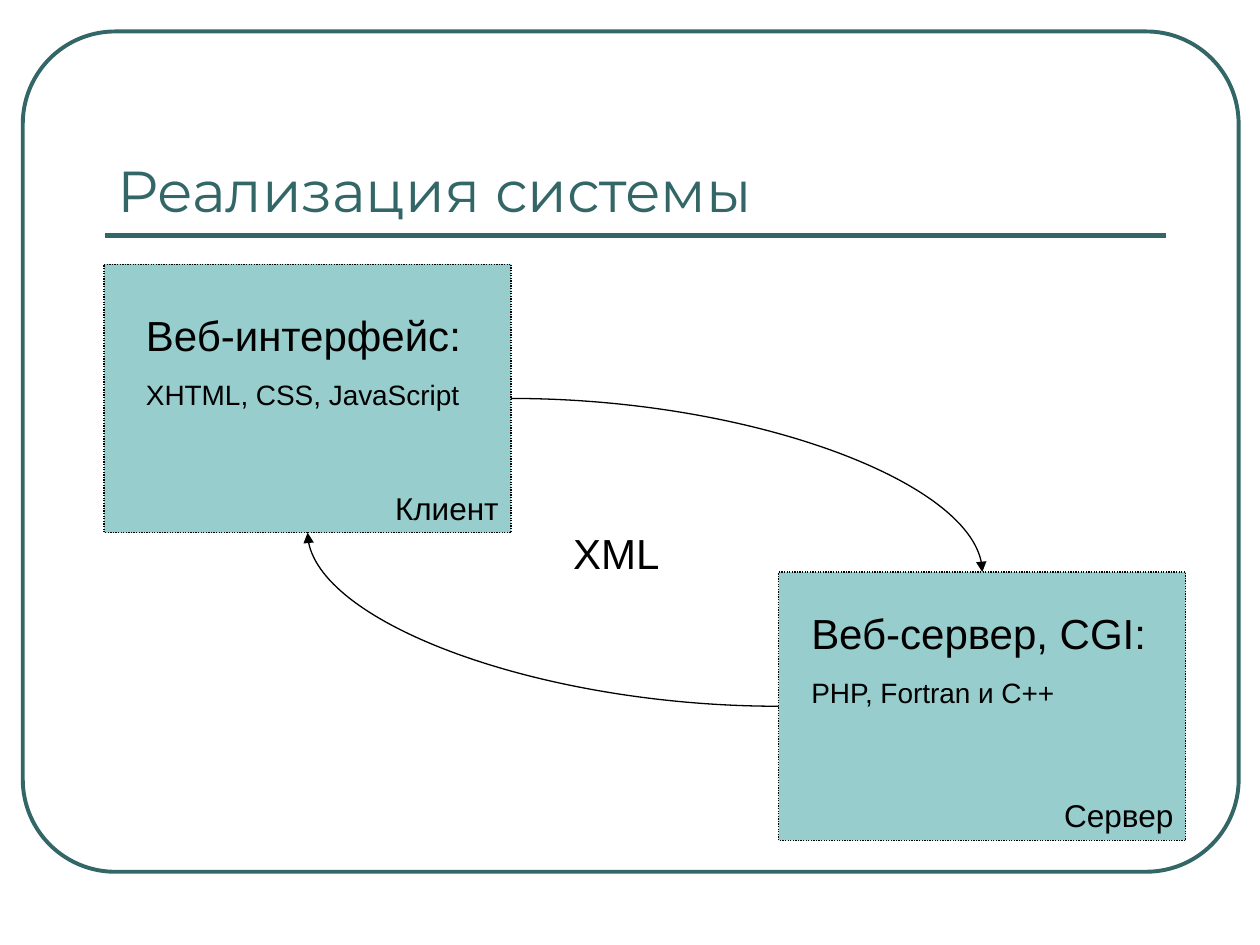
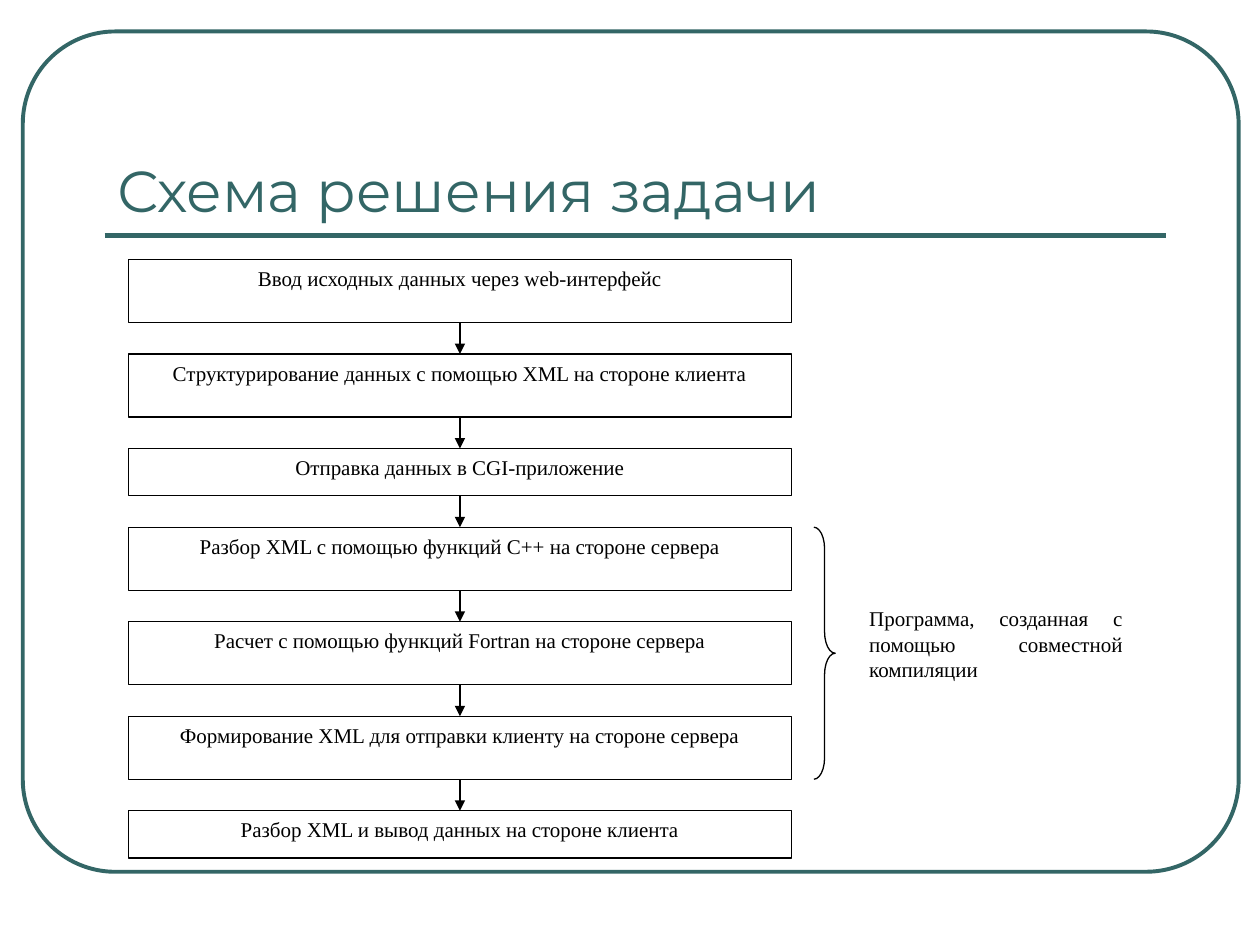
"""Build two slides on a client-server system: its architecture and its processing steps."""
import dataclasses
import itertools

import pptx
import pptx.dml.color
import pptx.enum.dml
import pptx.enum.shapes
import pptx.enum.text
import pptx.oxml
import pptx.oxml.ns
import pptx.util

Pt = pptx.util.Pt
SHAPE = pptx.enum.shapes.MSO_SHAPE
CONNECTOR = pptx.enum.shapes.MSO_CONNECTOR
ALIGN = pptx.enum.text.PP_ALIGN
ANCHOR = pptx.enum.text.MSO_ANCHOR
DOTTED = pptx.enum.dml.MSO_LINE.ROUND_DOT
TOP, LEFT, BOTTOM, RIGHT = range(4)


@dataclasses.dataclass(frozen=True)
class Theme:
    """Colours, fonts and sizes shared by the slides."""
    accent: str = "336666"
    node: str = "97CDCC"
    paper: str = "FFFFFF"
    ink: str = "000000"
    thin: float = 0.75
    frame: float = 2.25
    rule: float = 3
    title: tuple = ("Montserrat", 33)
    heading: tuple = ("Arial", 24)
    role: tuple = ("Arial", 18)
    detail: tuple = ("Arial", 16)
    step: tuple = ("Times New Roman", 12)


THEME = Theme()


def rgb(value):
    """Return a colour object for a hex value."""
    return pptx.dml.color.RGBColor.from_string(value)


def apply(target, formats):
    """Set each attribute of the target from a dict."""
    for name, value in formats.items():
        setattr(target, name, value)


def write(holder, lines, color=THEME.ink, align=ALIGN.LEFT, anchor=ANCHOR.TOP):
    """Fill a shape with (text, style, space before) lines."""
    frame = holder.text_frame
    apply(frame, {"word_wrap": True, "vertical_anchor": anchor,
                  "margin_left": Pt(7.2), "margin_right": Pt(7.2),
                  "margin_top": Pt(3.6), "margin_bottom": Pt(3.6)})
    for index, (text, (font, size), before) in enumerate(lines):
        paragraph = frame.add_paragraph() if index else frame.paragraphs[0]
        apply(paragraph, {"text": text, "alignment": align, "space_before": Pt(before)})
        apply(paragraph.font, {"name": font, "size": Pt(size)})
        paragraph.font.color.rgb = rgb(color)


def add_label(slide, place, lines, **style):
    """Add a text box."""
    label = slide.shapes.add_textbox(*map(Pt, place))
    write(label, lines, **style)


def add_outline(slide, kind, place, fill=None, line=THEME.ink, width=THEME.thin):
    """Add a preset shape without a shadow."""
    outline = slide.shapes.add_shape(kind, *map(Pt, place))
    outline.shadow.inherit = False
    if fill:
        outline.fill.solid()
        outline.fill.fore_color.rgb = rgb(fill)
    else:
        outline.fill.background()
    if line:
        outline.line.color.rgb = rgb(line)
        outline.line.width = Pt(width)
    else:
        outline.line.fill.background()
    return outline


def add_line(slide, ends, color=THEME.ink, width=THEME.thin, kind=CONNECTOR.STRAIGHT, arrow=False):
    """Add a connector, with an arrowhead at its end if asked."""
    link = slide.shapes.add_connector(kind, *map(Pt, ends))
    link.line.color.rgb = rgb(color)
    link.line.width = Pt(width)
    namespace = pptx.oxml.ns.nsdecls("a")
    if arrow:
        link.line._get_or_add_ln().append(
            pptx.oxml.parse_xml(f'<a:tailEnd {namespace} type="triangle"/>'))
    link._element.spPr.append(pptx.oxml.parse_xml(f"<a:effectLst {namespace}/>"))
    return link


def add_curve(slide, source, source_side, target, target_side):
    """Join two nodes by a quarter-turn curved arrow."""
    curve = add_line(slide, (0, 0, 0, 0), kind=CONNECTOR.CURVE, arrow=True)
    curve.begin_connect(source, source_side)
    curve.end_connect(target, target_side)
    geometry = curve._element.spPr.find(pptx.oxml.ns.qn("a:prstGeom"))
    geometry.set("prst", "curvedConnector2")


def add_node(slide, left, top, role):
    """Add a dotted block named in its lower right corner."""
    node = add_outline(slide, SHAPE.RECTANGLE, (left, top, 232.6, 153.4), THEME.node)
    node.line.dash_style = DOTTED
    write(node, [(role, THEME.role, 0)], align=ALIGN.RIGHT, anchor=ANCHOR.BOTTOM)
    return node


def add_page(deck, title):
    """Add a slide with the rounded frame, the rule and a title."""
    slide = deck.slides.add_slide(deck.slide_layouts[6])
    frame = add_outline(slide, SHAPE.ROUNDED_RECTANGLE, (13, 18, 694.8, 480.2),
                        line=THEME.accent, width=THEME.frame)
    frame.adjustments[0] = 0.11
    add_line(slide, (59.8, 134.6, 666, 134.6), THEME.accent, THEME.rule)
    add_label(slide, (59.8, 41.8, 606.2, 90), [(title, THEME.title, 0)],
              color=THEME.accent, anchor=ANCHOR.BOTTOM)
    return slide


def build_architecture(deck):
    """Draw the client and the server exchanging XML."""
    slide = add_page(deck, "Реализация системы")
    client = add_node(slide, 59.5, 151, "Клиент")
    server = add_node(slide, 445, 326.9, "Сервер")
    add_curve(slide, client, RIGHT, server, TOP)
    add_curve(slide, server, LEFT, client, BOTTOM)
    technologies = [
        (76.3, 173.5, "Веб-интерфейс:", "XHTML, CSS, JavaScript"),
        (456.5, 343.4, "Веб-сервер, CGI:", "PHP, Fortran и C++"),
    ]
    for left, top, heading, detail in technologies:
        add_label(slide, (left, top, 209.5, 65.5),
                  [(heading, THEME.heading, 0), (detail, THEME.detail, 10)])
    add_label(slide, (320.4, 298, 79.2, 36), [("XML", THEME.heading, 0)])


def build_process(deck):
    """Draw the processing steps and the brace over the compiled ones."""
    slide = add_page(deck, "Схема решения задачи")
    left, top, width, gap = 73.4, 148.3, 378.8, 18
    tall, low = 36, 27
    steps = [
        ("Ввод исходных данных через web-интерфейс", tall),
        ("Структурирование данных с помощью XML на стороне клиента", tall),
        ("Отправка данных в CGI-приложение", low),
        ("Разбор XML с помощью функций C++ на стороне сервера", tall),
        ("Расчет с помощью функций Fortran на стороне сервера", tall),
        ("Формирование XML для отправки клиенту на стороне сервера", tall),
        ("Разбор XML и вывод данных на стороне клиента", low),
    ]
    tops = list(itertools.accumulate((height + gap for _, height in steps), initial=top))
    middle = left + width / 2
    for index, (text, height) in enumerate(steps):
        step = add_outline(slide, SHAPE.RECTANGLE, (left, tops[index], width, height), THEME.paper)
        write(step, [(text, THEME.step, 0)], align=ALIGN.CENTER)
        if index:
            add_line(slide, (middle, tops[index] - gap, middle, tops[index]), arrow=True)
    compiled_top, compiled_bottom = tops[3], tops[6] - gap
    brace = add_outline(slide, SHAPE.RIGHT_BRACE,
                        (465.1, compiled_top, 12.2, compiled_bottom - compiled_top))
    brace.adjustments[0] = 1
    note = add_outline(slide, SHAPE.RECTANGLE, (489.6, 342.7, 159.1, 62.6), THEME.paper, line=None)
    write(note, [("Программа, созданная с помощью совместной компиляции", THEME.step, 0)],
          align=ALIGN.JUSTIFY)


def main():
    """Build and save the presentation."""
    deck = pptx.Presentation()
    apply(deck, {"slide_width": Pt(720), "slide_height": Pt(540)})
    build_architecture(deck)
    build_process(deck)
    deck.save("out.pptx")


if __name__ == "__main__":
    main()
